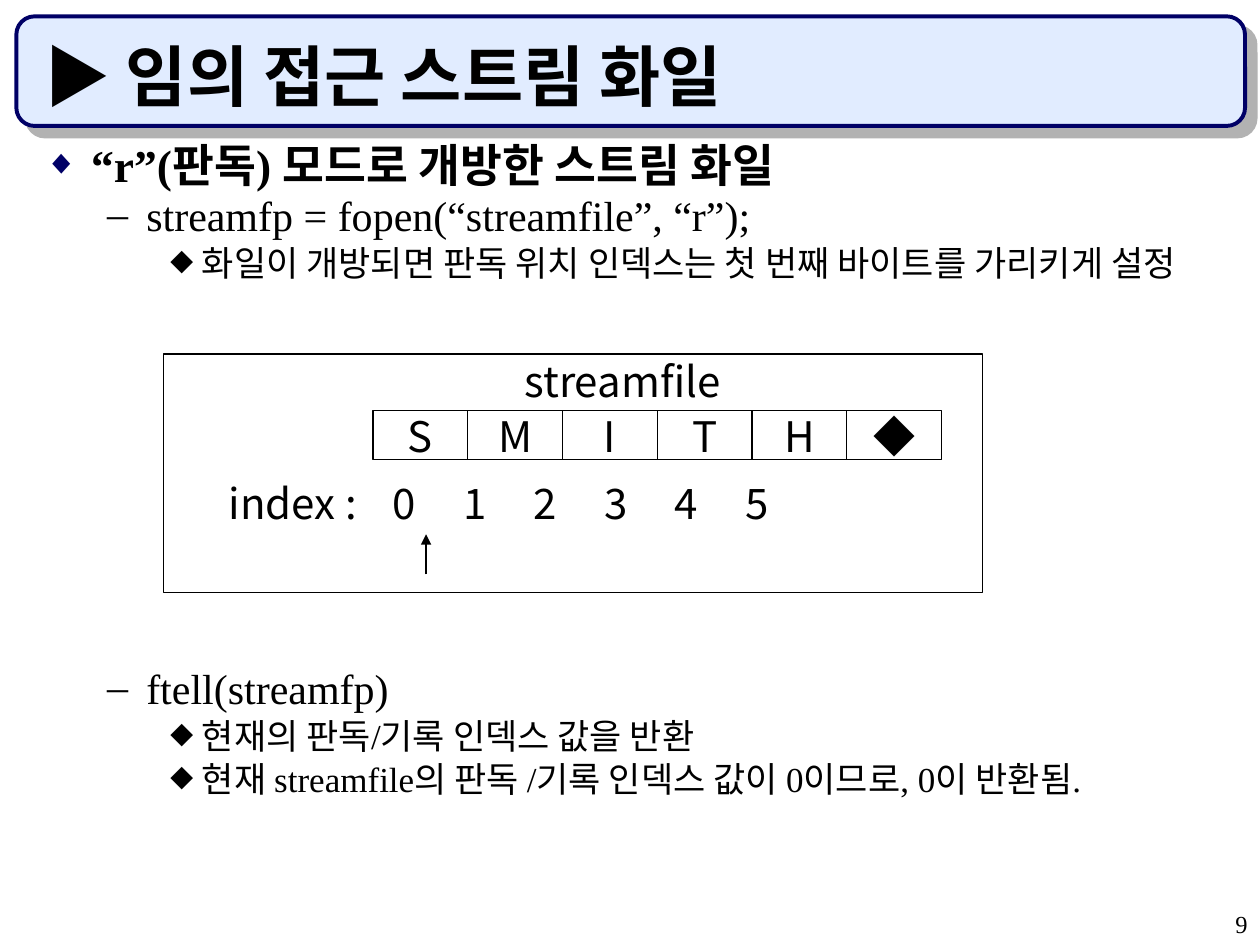
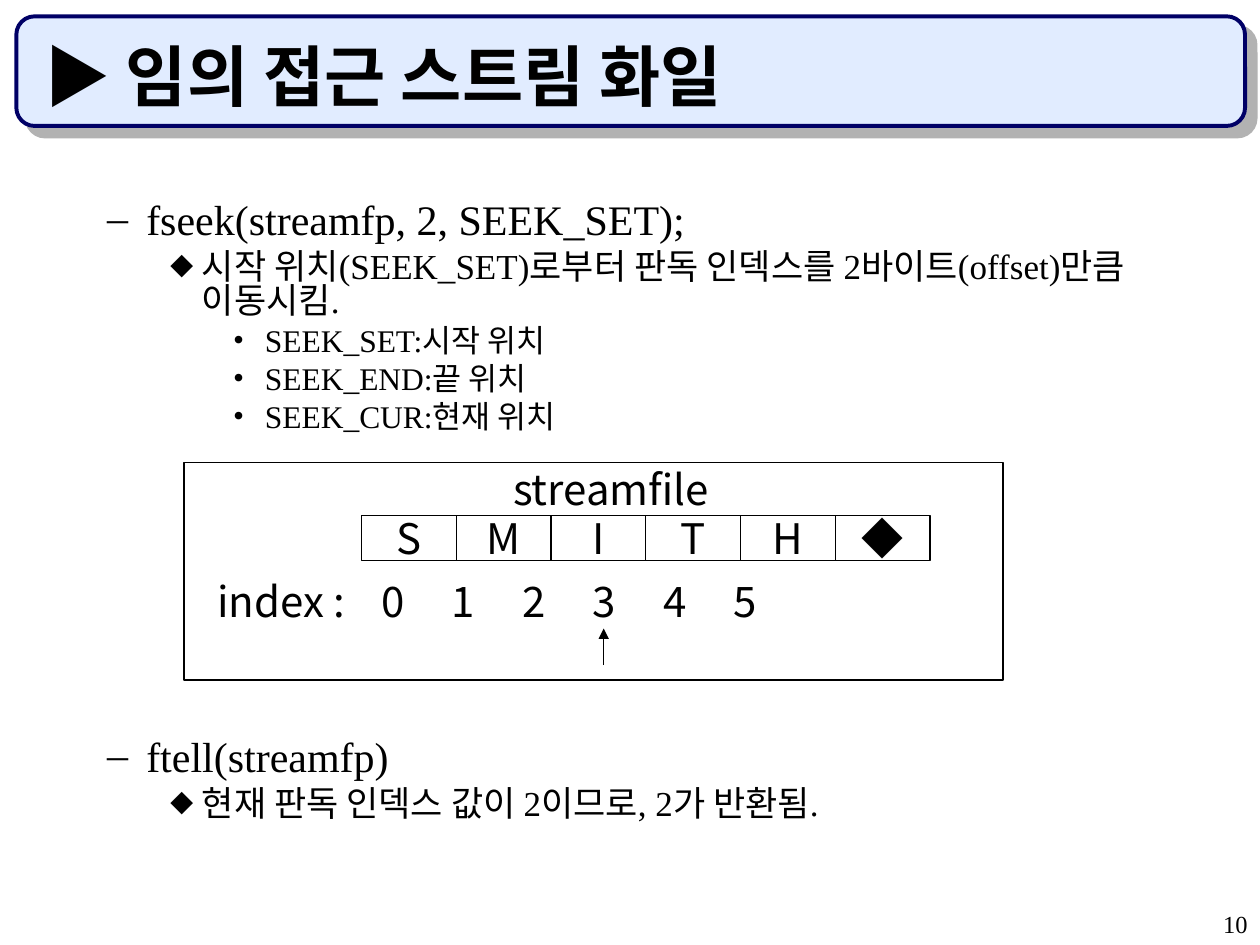
from dataclasses import dataclass

from lxml import etree
from pptx import Presentation
from pptx.dml.color import RGBColor
from pptx.enum.shapes import MSO_CONNECTOR, MSO_SHAPE
from pptx.enum.text import MSO_ANCHOR, MSO_AUTO_SIZE, PP_ALIGN
from pptx.oxml.ns import qn
from pptx.util import Cm, Pt

RECTANGLE = MSO_SHAPE.RECTANGLE
ROUNDED = MSO_SHAPE.ROUNDED_RECTANGLE
STRAIGHT = MSO_CONNECTOR.STRAIGHT
TOP, MIDDLE, BOTTOM = MSO_ANCHOR.TOP, MSO_ANCHOR.MIDDLE, MSO_ANCHOR.BOTTOM
LEFT, CENTER, RIGHT = PP_ALIGN.LEFT, PP_ALIGN.CENTER, PP_ALIGN.RIGHT
NO_AUTOFIT = MSO_AUTO_SIZE.NONE
TITLE_ONLY = 5


@dataclass(frozen=True)
class Level:
    size: float
    line: float
    before: float
    margin: float
    hanging: float
    bullet: str
    color: str = "000000"
    bullet_percent: int = 100
    bold: bool = False


@dataclass(frozen=True)
class Theme:
    ink: str = "000000"
    navy: str = "000066"
    band: str = "E1ECFF"
    shadow: str = "B2B2B2"
    serif: str = "Times New Roman"
    sans: str = "Noto Sans CJK KR"
    title_size: float = 38
    diagram_size: float = 24
    number_size: float = 14
    thin: float = 0.75
    thick: float = 2.25
    levels: tuple = (
        Level(26, 28, 6.5, 0.95, 0.95, "◆", "000066", 75, True),
        Level(24, 22, 6, 2.06, 0.79, "–"),
        Level(20, 19.6, 5, 3.18, 0.64, "⬥"),
        Level(18, 17.2, 4.5, 4.45, 0.64, "•"),
    )


@dataclass(frozen=True)
class FileDiagram:
    frame: tuple
    cells_left: float
    cells_top: float
    cell_height: float
    index_top: float
    arrow: tuple


def apply(target, formats):
    for name, value in formats.items():
        setattr(target, name, value)


def add_element(parent, tag, **attributes):
    element = etree.SubElement(parent, qn(tag))
    for name, value in attributes.items():
        element.set(name, str(value))
    return element


class Deck:
    def __init__(self, theme):
        self.theme = theme
        self.presentation = Presentation()
        apply(self.presentation, {"slide_width": Cm(25.4), "slide_height": Cm(19.05)})
        self.slide = None

    def start_slide(self, title, number):
        layout = self.presentation.slide_layouts[TITLE_ONLY]
        self.slide = self.presentation.slides.add_slide(layout)
        self.add_title(title)
        self.add_text(str(number), (20.12, 18.21, 5.28, 0.84),
                      self.theme.number_size, self.theme.serif, RIGHT)

    def add_styled_run(self, paragraph, text, size, font_name, bold=False):
        run = paragraph.add_run()
        run.text = text
        apply(run.font, {"size": Pt(size), "name": font_name, "bold": bold})
        run.font.color.rgb = RGBColor.from_string(self.theme.ink)
        add_element(run._r.get_or_add_rPr(), "a:ea", typeface=self.theme.sans)

    def add_box(self, preset, box, line_color, width, fill=None):
        shape = self.slide.shapes.add_shape(preset, *map(Cm, box))
        shape.shadow.inherit = False
        if fill:
            shape.fill.solid()
            shape.fill.fore_color.rgb = RGBColor.from_string(fill)
        else:
            shape.fill.background()
        shape.line.color.rgb = RGBColor.from_string(line_color)
        shape.line.width = Pt(width)
        return shape

    def add_title(self, text):
        theme = self.theme
        title = self.slide.shapes.title
        apply(title, {"left": Cm(0.64), "top": Cm(0.74),
                      "width": Cm(23.93), "height": Cm(1.7)})
        apply(title.text_frame, {"vertical_anchor": BOTTOM, "word_wrap": True,
                                 "auto_size": NO_AUTOFIT})
        paragraph = title.text_frame.paragraphs[0]
        apply(paragraph, {"alignment": LEFT, "line_spacing": Pt(theme.title_size)})
        self.add_styled_run(paragraph, text, theme.title_size, theme.serif, True)
        band = self.add_box(ROUNDED, (0.33, 0.33, 24.77, 2.21),
                            theme.navy, theme.thick, theme.band)
        effects = band.element.spPr.find(qn("a:effectLst"))
        shadow = add_element(effects, "a:outerShdw", blurRad=0, dist=Pt(8.5),
                             dir=45 * 60000, algn="ctr", rotWithShape=0)
        add_element(shadow, "a:srgbClr", val=theme.shadow)
        title.element.addprevious(band.element)

    def add_text(self, text, box, size, font_name, alignment=LEFT, tabs=()):
        shape = self.slide.shapes.add_textbox(*map(Cm, box))
        apply(shape.text_frame, {"word_wrap": True, "vertical_anchor": TOP})
        paragraph = shape.text_frame.paragraphs[0]
        paragraph.alignment = alignment
        if tabs:
            tab_list = add_element(paragraph._p.get_or_add_pPr(), "a:tabLst")
            for position in tabs:
                add_element(tab_list, "a:tab", pos=Cm(position), algn="l")
        self.add_styled_run(paragraph, text, size, font_name)

    def add_outline(self, top, items):
        shape = self.slide.shapes.add_textbox(Cm(0.64), Cm(top), Cm(23.93), Cm(17.55 - top))
        frame = shape.text_frame
        frame.word_wrap = True
        for position, (depth, text, *gap) in enumerate(items):
            level = self.theme.levels[depth]
            paragraph = frame.add_paragraph() if position else frame.paragraphs[0]
            properties = paragraph._p.get_or_add_pPr()
            properties.set("marL", str(Cm(level.margin)))
            properties.set("indent", str(-Cm(level.hanging)))
            color = add_element(properties, "a:buClr")
            add_element(color, "a:srgbClr", val=level.color)
            add_element(properties, "a:buSzPct", val=level.bullet_percent * 1000)
            add_element(properties, "a:buFont", typeface=self.theme.serif)
            add_element(properties, "a:buChar", char=level.bullet)
            before = gap[0] if gap else level.before
            apply(paragraph, {"level": depth, "line_spacing": Pt(level.line),
                              "space_before": Pt(before if position else 0)})
            self.add_styled_run(paragraph, text, level.size, self.theme.serif, level.bold)

    def add_cell(self, text, box):
        shape = self.add_box(RECTANGLE, box, self.theme.ink, self.theme.thin)
        apply(shape.text_frame, {
            "margin_left": 0, "margin_right": 0, "margin_top": 0, "margin_bottom": 0,
            "vertical_anchor": MIDDLE, "word_wrap": False})
        paragraph = shape.text_frame.paragraphs[0]
        paragraph.alignment = CENTER
        self.add_styled_run(paragraph, text, self.theme.diagram_size, self.theme.sans)

    def add_arrow(self, x, start, end):
        arrow = self.slide.shapes.add_connector(STRAIGHT, Cm(x), Cm(start), Cm(x), Cm(end))
        arrow.line.color.rgb = RGBColor.from_string(self.theme.ink)
        arrow.line.width = Pt(self.theme.thin)
        properties = arrow._element.spPr
        add_element(properties.find(qn("a:ln")), "a:tailEnd", type="triangle")
        add_element(properties, "a:effectLst")

    def add_file_diagram(self, diagram):
        size, sans = self.theme.diagram_size, self.theme.sans
        left, cell_width = diagram.cells_left, 1.91
        for column, letter in enumerate("SMITH◆"):
            self.add_cell(letter, (left + column * cell_width, diagram.cells_top,
                                   cell_width, diagram.cell_height))
        index_tabs = [3.31 + 1.42 * column for column in range(6)]
        index_text = "\t".join(["index :", *map(str, range(6))])
        self.add_text(index_text, (left - 3.16, diagram.index_top, 17.58, 1.47),
                      size, sans, tabs=index_tabs)
        self.add_text("streamfile", (left + 2.77, diagram.frame[1] - 0.1, 4.52, 1.47),
                      size, sans, CENTER)
        self.add_arrow(*diagram.arrow)
        self.add_box(RECTANGLE, diagram.frame, self.theme.ink, self.theme.thin)


def main():
    deck = Deck(Theme())
    title = "▶ 임의 접근 스트림 화일"

    deck.start_slide(title, 9)
    deck.add_outline(2.74, [
        (0, "“r”(판독) 모드로 개방한 스트림 화일"),
        (1, "streamfp = fopen(“streamfile”, “r”);"),
        (2, "화일이 개방되면 판독 위치 인덱스는 첫 번째 바이트를 가리키게 설정"),
        (1, "ftell(streamfp)", 223.7),
        (2, "현재의 판독/기록 인덱스 값을 반환"),
        (2, "현재 streamfile의 판독 /기록 인덱스 값이 0이므로, 0이 반환됨."),
    ])
    deck.add_file_diagram(FileDiagram(
        frame=(3.3, 7.14, 16.51, 4.8), cells_left=7.52, cells_top=8.28,
        cell_height=0.99, index_top=9.5, arrow=(8.59, 11.58, 10.77)))

    deck.start_slide(title, 10)
    deck.add_outline(4.01, [
        (1, "fseek(streamfp, 2, SEEK_SET);"),
        (2, "시작 위치(SEEK_SET)로부터 판독 인덱스를 2바이트(offset)만큼 이동시킴."),
        (3, "SEEK_SET:시작 위치"),
        (3, "SEEK_END:끝 위치"),
        (3, "SEEK_CUR:현재 위치"),
        (1, "ftell(streamfp)", 175.7),
        (2, "현재 판독 인덱스 값이 2이므로, 2가 반환됨."),
    ])
    deck.add_file_diagram(FileDiagram(
        frame=(3.71, 9.32, 16.51, 4.39), cells_left=7.29, cells_top=10.39,
        cell_height=0.91, index_top=11.48, arrow=(12.17, 13.41, 12.67)))

    deck.presentation.save("out.pptx")


if __name__ == "__main__":
    main()
